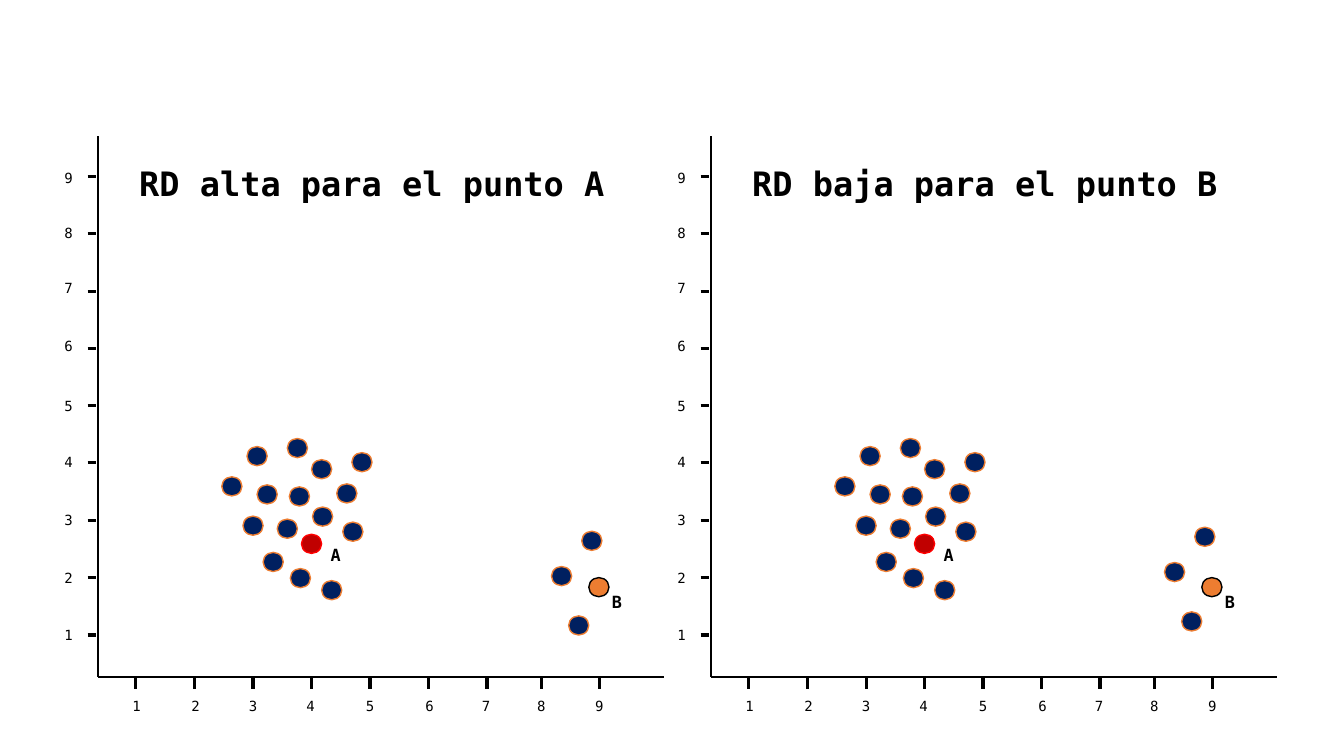
"""Draw two scatter panels that contrast high and low reachability distance."""
import dataclasses
import pptx
import pptx.util
import pptx.dml.color
import pptx.enum.shapes
import pptx.enum.text
import pptx.oxml
import pptx.oxml.ns

SCALE = 9144
FONT = "DejaVu Sans Mono"
HUES = {"ink": "000000", "navy": "002060", "orange": "ED7D31",
        "dark": "C00000", "red": "FF0000"}
LEFT = pptx.enum.text.PP_ALIGN.LEFT
MID = pptx.enum.text.PP_ALIGN.CENTER


@dataclasses.dataclass(frozen=True)
class Panel:
    """One plot: its title, placeholder index, shift and outlier lift."""
    title: str
    index: int
    shift: int
    lift: int


@dataclasses.dataclass(frozen=True)
class Dot:
    """One point, placed by its top left corner."""
    x: int
    y: int
    fill: str = "navy"
    edge: str = "orange"


@dataclasses.dataclass(frozen=True)
class Label:
    """One short text, placed by its top left corner."""
    text: str
    x: int
    y: int
    tall: int = 27
    size: int = 10
    bold: bool = False
    align: pptx.enum.text.PP_ALIGN = LEFT


PANELS = (Panel("RD alta para el punto A", 1, 0, 0),
          Panel("RD baja para el punto B", 3, 608, 4))

DOTS = (Dot(299, 530, "dark", "red"), Dot(584, 573, "orange", "ink")) + tuple(
    Dot(x, y) for x, y in (
        (245, 443), (309, 456), (220, 473), (285, 435), (349, 449),
        (275, 515), (310, 503), (287, 483), (255, 481), (261, 548),
        (288, 564), (340, 518), (241, 512), (319, 576), (334, 480)))
FAR = (Dot(577, 527), Dot(547, 562), Dot(564, 611))

XTICKS = (134, 193, 251, 309, 367, 425, 483, 537, 595)
YTICKS = tuple(round(630 - 56.88 * step) for step in range(9))
XTEXT = (115, 180, 237, 294, 353, 412, 468, 523, 574)
YTEXT = (617, 560, 503, 445, 389, 330, 272, 218, 163)
LABELS = tuple(
    Label(str(n), x, 687, align=MID if n in (1, 9) else LEFT)
    for n, x in enumerate(XTEXT, 1)
) + tuple(Label(str(n), 54, y) for n, y in enumerate(YTEXT, 1)) + (
    Label("A", 318, 536, 30, 12, True), Label("B", 597, 582, 30, 12, True))


def px(value: int) -> int:
    """Turn px into EMU."""
    return pptx.util.Emu(value * SCALE)


def hue(name: str) -> pptx.dml.color.RGBColor:
    """Look up a colour."""
    return pptx.dml.color.RGBColor.from_string(HUES[name])


def write(frame, text: str, size: int, bold: bool, align) -> None:
    """Fill a text frame with one styled line."""
    frame.text = text
    frame.word_wrap = True
    frame.vertical_anchor = pptx.enum.text.MSO_ANCHOR.TOP
    line = frame.paragraphs[0]
    line.alignment = align
    line.space_before = pptx.util.Pt(0)
    font = line.runs[0].font
    font.name, font.size, font.bold = FONT, pptx.util.Pt(size), bold
    font.color.rgb = hue("ink")


def rule(shapes, x1: int, y1: int, x2: int, y2: int, width: float) -> None:
    """Draw one straight black line."""
    line = shapes.add_connector(pptx.enum.shapes.MSO_CONNECTOR.STRAIGHT,
                                px(x1), px(y1), px(x2), px(y2))
    line.line.color.rgb = hue("ink")
    line.line.width = pptx.util.Pt(width)
    pr = line._element.spPr
    pr.append(pptx.oxml.parse_xml(
        "<a:effectLst %s/>" % pptx.oxml.ns.nsdecls("a")))


def spot(shapes, dot: Dot, shift: int, lift: int = 0) -> None:
    """Draw one point."""
    oval = shapes.add_shape(pptx.enum.shapes.MSO_SHAPE.OVAL, px(dot.x + shift),
                            px(dot.y - lift), px(20), px(19))
    oval.shadow.inherit = False
    oval.fill.solid()
    oval.fill.fore_color.rgb = hue(dot.fill)
    oval.line.color.rgb = hue(dot.edge)
    oval.line.width = pptx.util.Pt(1)


def plot(slide, panel: Panel) -> None:
    """Draw one panel with axes, labels, points and title."""
    shapes, shift = slide.shapes, panel.shift
    rule(shapes, 97 + shift, 135, 97 + shift, 672, 1.5)
    rule(shapes, 97 + shift, 672, 659 + shift, 672, 1.5)
    for x in XTICKS:
        rule(shapes, x + shift, 672, x + shift, 684, 2.25)
    for y in YTICKS:
        rule(shapes, 87 + shift, y, 95 + shift, y, 2.25)
    for dot in DOTS:
        spot(shapes, dot, shift)
    for dot in FAR:
        spot(shapes, dot, shift, panel.lift)
    for label in LABELS:
        box = shapes.add_textbox(px(label.x + shift), px(label.y),
                                 px(41), px(label.tall))
        write(box.text_frame, label.text, label.size, label.bold, label.align)
    head = next(p for p in slide.placeholders
                if p.placeholder_format.idx == panel.index)
    head.left, head.top = px(128 + shift), px(157)
    head.width, head.height = px(487), px(50)
    write(head.text_frame, panel.title, 24, True, LEFT)
    head.text_frame.auto_size = pptx.enum.text.MSO_AUTO_SIZE.NONE


def main() -> None:
    """Build and save the slide."""
    deck = pptx.Presentation()
    deck.slide_width, deck.slide_height = px(1333), px(750)
    slide = deck.slides.add_slide(deck.slide_layouts[4])
    used = {panel.index for panel in PANELS}
    for holder in list(slide.placeholders):
        if holder.placeholder_format.idx not in used:
            holder._element.getparent().remove(holder._element)
    for panel in PANELS:
        plot(slide, panel)
    deck.save("out.pptx")


if __name__ == "__main__":
    main()
